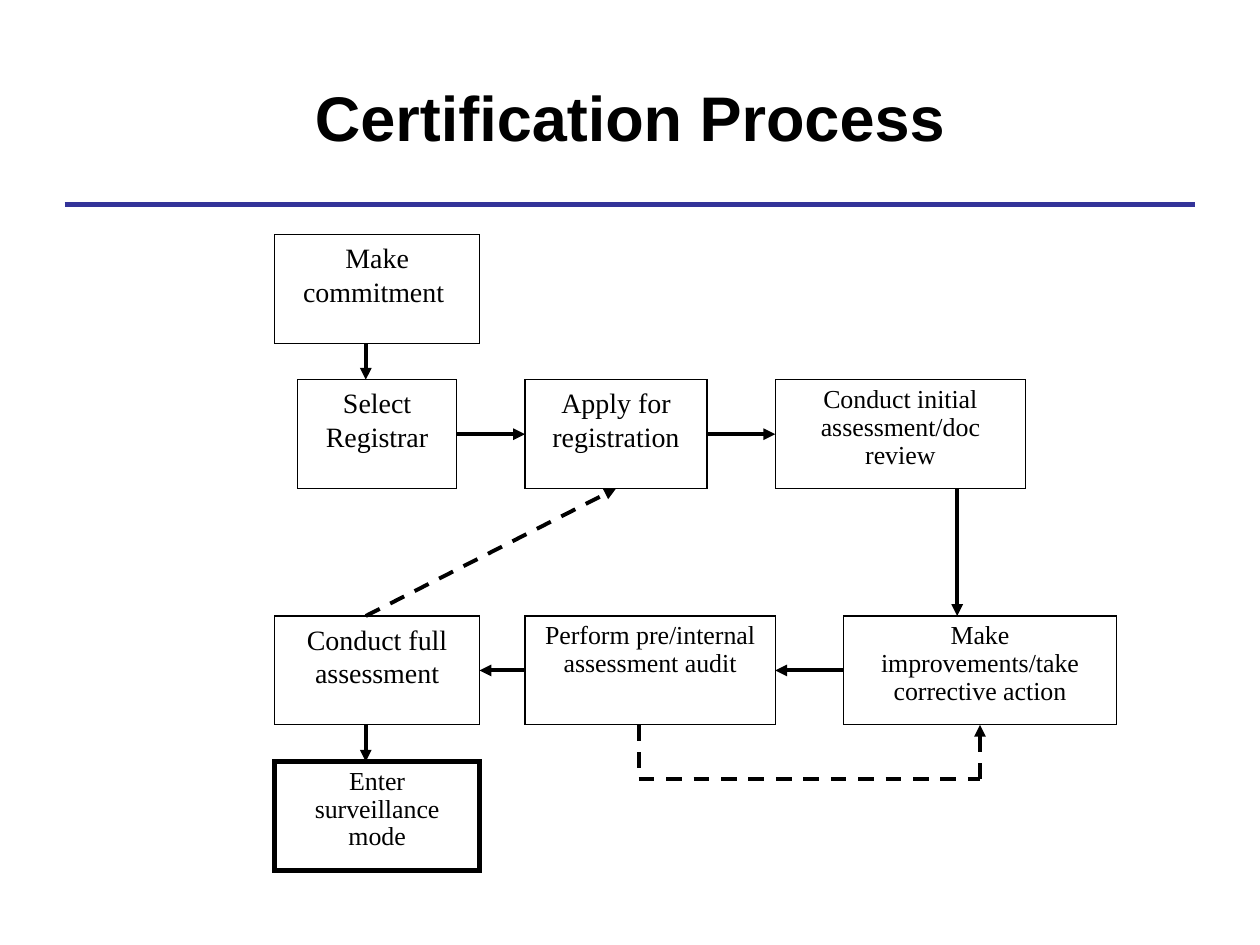
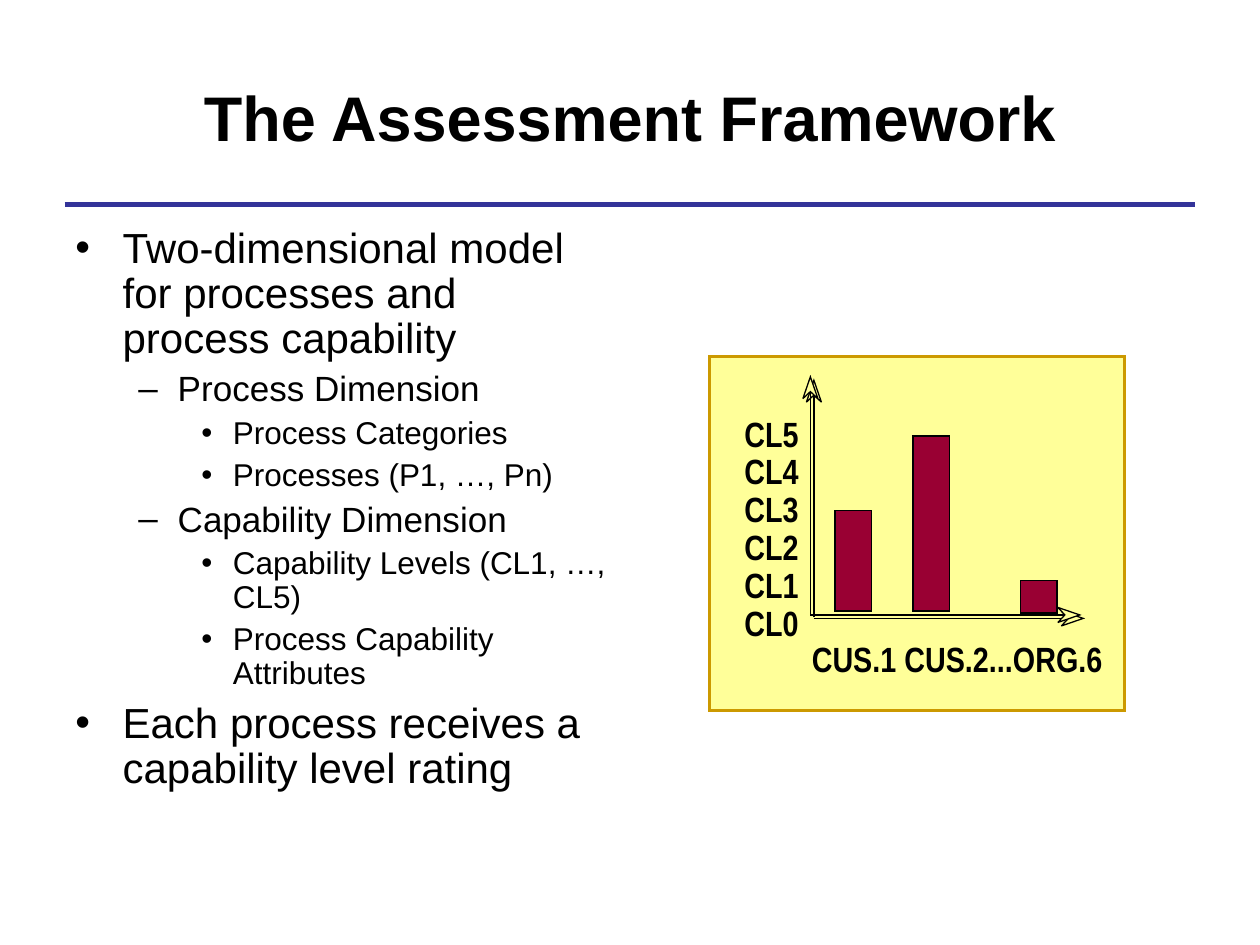
from pptx import Presentation
from pptx.dml.color import RGBColor
from pptx.enum.dml import MSO_LINE
from pptx.enum.shapes import MSO_CONNECTOR, MSO_SHAPE
from pptx.enum.text import MSO_ANCHOR, PP_ALIGN
from pptx.oxml.ns import qn
from pptx.util import Pt
from lxml.etree import SubElement

BLACK = RGBColor(0x00, 0x00, 0x00)
WHITE = RGBColor(0xFF, 0xFF, 0xFF)
RULE_BLUE = RGBColor(0x33, 0x33, 0x99)
PANEL_YELLOW = RGBColor(0xFF, 0xFF, 0x99)
PANEL_BORDER = RGBColor(0xCC, 0x99, 0x00)
BAR_RED = RGBColor(0x99, 0x00, 0x33)

TOP, LEFT, BOTTOM, RIGHT = range(4)
BOX_HEIGHT = 62.2

# Per outline level: bullet, text indent, bullet width, space before, font size
OUTLINE_LEVELS = [
    ("•", 27, 27, 6, 24),
    ("–", 58.5, 22.5, 5, 20),
    ("•", 90, 18, 4.5, 18),
]
OUTLINE = [
    (0, "Two-dimensional model for processes and process capability"),
    (1, "Process Dimension"),
    (2, "Process Categories"),
    (2, "Processes (P1, …, Pn)"),
    (1, "Capability Dimension"),
    (2, "Capability Levels (CL1, …, CL5)"),
    (2, "Process Capability Attributes"),
    (0, "Each process receives a capability level rating"),
]


def format_runs(paragraph, font_name, size, bold=False):
    for run in paragraph.runs:
        run.font.name = font_name
        run.font.size = Pt(size)
        run.font.bold = bold
        run.font.color.rgb = BLACK


def style_shape(shape, fill, line_color, line_width):
    """Give a shape a flat fill and a line with square corners."""
    shape.shadow.inherit = False
    shape.fill.solid()
    shape.fill.fore_color.rgb = fill
    shape.line.color.rgb = line_color
    shape.line.width = Pt(line_width)
    SubElement(shape.line._get_or_add_ln(), qn("a:miter"), lim="800000")


def add_line(slide, start, end, color=BLACK, width=2.25, head=False, dashed=False):
    connector = slide.shapes.add_connector(
        MSO_CONNECTOR.STRAIGHT, *(Pt(value) for value in (*start, *end)))
    connector.line.color.rgb = color
    connector.line.width = Pt(width)
    if dashed:
        connector.line.dash_style = MSO_LINE.DASH
    if head:
        SubElement(connector.line._get_or_add_ln(), qn("a:tailEnd"), type="triangle")
    SubElement(connector._element.spPr, qn("a:effectLst"))
    return connector


def add_titled_slide(presentation, title_text):
    slide = presentation.slides.add_slide(presentation.slide_layouts[5])
    add_line(slide, (37, 116.75), (683, 116.75), RULE_BLUE, 3)
    title = slide.shapes.title
    title.left, title.top, title.width, title.height = Pt(36), Pt(21.6), Pt(648), Pt(90)
    title.text_frame.text = title_text
    title.text_frame.vertical_anchor = MSO_ANCHOR.MIDDLE
    paragraph = title.text_frame.paragraphs[0]
    paragraph.alignment = PP_ALIGN.CENTER
    format_runs(paragraph, "Arial", 36, bold=True)
    return slide


def add_step(slide, text, left, top, width, compact=False, border=0.75):
    """Add a process box; compact text is smaller with tighter lines."""
    step = slide.shapes.add_shape(
        MSO_SHAPE.FLOWCHART_PROCESS, Pt(left), Pt(top), Pt(width), Pt(BOX_HEIGHT))
    style_shape(step, WHITE, BLACK, border)
    step.text_frame.word_wrap = True
    step.text_frame.vertical_anchor = MSO_ANCHOR.TOP
    step.text_frame.text = text
    paragraph = step.text_frame.paragraphs[0]
    paragraph.alignment = PP_ALIGN.CENTER
    if compact:
        paragraph.line_spacing = 0.9
    format_runs(paragraph, "Times New Roman", 14.8 if compact else 16)
    return step


def add_process_flow(slide, left, top):
    row_tops = [top + offset for offset in (0, 83, 218, 301.2)]
    row_bottoms = [row_top + BOX_HEIGHT for row_top in row_tops]
    middle = left + 143
    add_step(slide, "Make commitment ", left, row_tops[0], 117)
    select = add_step(slide, "Select Registrar", left + 13, row_tops[1], 91)
    apply = add_step(slide, "Apply for registration", middle, row_tops[1], 104)
    initial = add_step(slide, "Conduct initial assessment/doc review",
                       left + 286, row_tops[1], 143, compact=True)
    improve = add_step(slide, "Make improvements/take corrective action",
                       left + 325, row_tops[2], 156, compact=True)
    audit = add_step(slide, "Perform pre/internal assessment audit",
                     middle, row_tops[2], 143, compact=True)
    full = add_step(slide, "Conduct full assessment", left, row_tops[2], 117)
    add_step(slide, "Enter surveillance mode", left, row_tops[3], 117,
             compact=True, border=3)

    for source, source_side, target, target_side in [
        (select, RIGHT, apply, LEFT),
        (apply, RIGHT, initial, LEFT),
        (improve, LEFT, audit, RIGHT),
        (audit, LEFT, full, RIGHT),
    ]:
        arrow = add_line(slide, (0, 0), (0, 0), head=True)
        arrow.begin_connect(source, source_side)
        arrow.end_connect(target, target_side)

    down_x = left + 52
    for x, row in [(down_x, 0), (left + 390, 1), (down_x, 2)]:
        add_line(slide, (x, row_bottoms[row]), (x, row_tops[row + 1]), head=True)

    loop_start, loop_end = left + 208, left + 403
    audit_bottom, loop_bottom = row_bottoms[2], row_bottoms[2] + 31
    add_line(slide, (loop_start, audit_bottom), (loop_start, loop_bottom), dashed=True)
    add_line(slide, (loop_start, loop_bottom), (loop_end, loop_bottom), dashed=True)
    loop_back = add_line(slide, (loop_end, loop_bottom), (loop_end, audit_bottom),
                         head=True, dashed=True)
    loop_back.end_connect(improve, BOTTOM)
    retry = add_line(slide, (down_x, row_tops[2]), (middle + 52, row_bottoms[1]),
                     head=True, dashed=True)
    retry.end_connect(apply, BOTTOM)


def add_outline(slide, left, top, width, height):
    text_frame = slide.shapes.add_textbox(
        Pt(left), Pt(top), Pt(width), Pt(height)).text_frame
    text_frame.word_wrap = True
    for index, (level, text) in enumerate(OUTLINE):
        bullet, indent, bullet_width, space_before, size = OUTLINE_LEVELS[level]
        paragraph = text_frame.add_paragraph() if index else text_frame.paragraphs[0]
        paragraph.text = text
        paragraph.level = level
        properties = paragraph._p.get_or_add_pPr()
        properties.set("marL", str(Pt(indent)))
        properties.set("indent", str(-Pt(bullet_width)))
        bullet_color = SubElement(properties, qn("a:buClr"))
        SubElement(bullet_color, qn("a:srgbClr"), val=str(BLACK))
        SubElement(properties, qn("a:buFont"), typeface="Arial")
        SubElement(properties, qn("a:buChar"), char=bullet)
        paragraph.line_spacing = 0.9
        if index:
            paragraph.space_before = Pt(space_before)
        format_runs(paragraph, "Arial", size)


def add_label(slide, text, left, top, width):
    label = slide.shapes.add_textbox(Pt(left), Pt(top), Pt(width), Pt(24))
    label.fill.solid()
    label.fill.fore_color.rgb = PANEL_YELLOW
    text_frame = label.text_frame
    text_frame.margin_left = text_frame.margin_right = 0
    text_frame.margin_top = text_frame.margin_bottom = 0
    text_frame.word_wrap = False
    text_frame.text = text
    format_runs(text_frame.paragraphs[0], "Arial Narrow", 20, bold=True)


def add_axis(slide, x, y, length, vertical=False):
    """Draw an axis from its zero point, ending in a notched arrowhead."""
    def place(along, across):
        return (x + across, y - along) if vertical else (x + along, y + across)

    add_line(slide, (x, y), place(length, 0), width=1)
    outline = [place(length + along, across)
               for along, across in [(-4, 4.3), (8.5, 0), (-4, -4.3), (0, 0)]]
    start, *others = [(Pt(px), Pt(py)) for px, py in outline]
    builder = slide.shapes.build_freeform(*start)
    builder.add_line_segments(others, close=True)
    style_shape(builder.convert_to_shape(), PANEL_YELLOW, BLACK, 0.75)


def add_capability_panel(slide, left, top, width, height):
    panel = slide.shapes.add_shape(
        MSO_SHAPE.RECTANGLE, Pt(left), Pt(top), Pt(width), Pt(height))
    style_shape(panel, PANEL_YELLOW, PANEL_BORDER, 2)

    for row, level in enumerate(range(5, -1, -1)):
        add_label(slide, f"CL{level}", left + 20, top + 31.7 + 21.6 * row, 31)
    add_label(slide, "CUS.1 CUS.2...ORG.6", left + 58.5, top + 160.5, 170)

    axis_offsets = (2, 0)
    for offset in axis_offsets:
        add_axis(slide, left + 57.7 + offset, top + 147.6 + offset, 145.4)
    for bar_left, bar_top, bar_height in [(71.6, 88, 57.5), (116.2, 45.3, 100.2),
                                          (177.7, 128, 18.7)]:
        bar = slide.shapes.add_shape(
            MSO_SHAPE.RECTANGLE, Pt(left + bar_left), Pt(top + bar_top),
            Pt(21), Pt(bar_height))
        style_shape(bar, BAR_RED, BLACK, 1)
    for offset in axis_offsets:
        add_axis(slide, left + 57.7 + offset, top + 147 + offset, 127, vertical=True)


def main():
    presentation = Presentation()
    presentation.slide_width, presentation.slide_height = Pt(720), Pt(540)

    process_slide = add_titled_slide(presentation, "Certification Process")
    add_process_flow(process_slide, 157, 134)

    framework_slide = add_titled_slide(presentation, "The Assessment Framework")
    add_outline(framework_slide, 36, 126, 318, 356)
    add_capability_panel(framework_slide, 405.4, 203.8, 237.3, 202.3)

    presentation.save("out.pptx")


if __name__ == "__main__":
    main()
